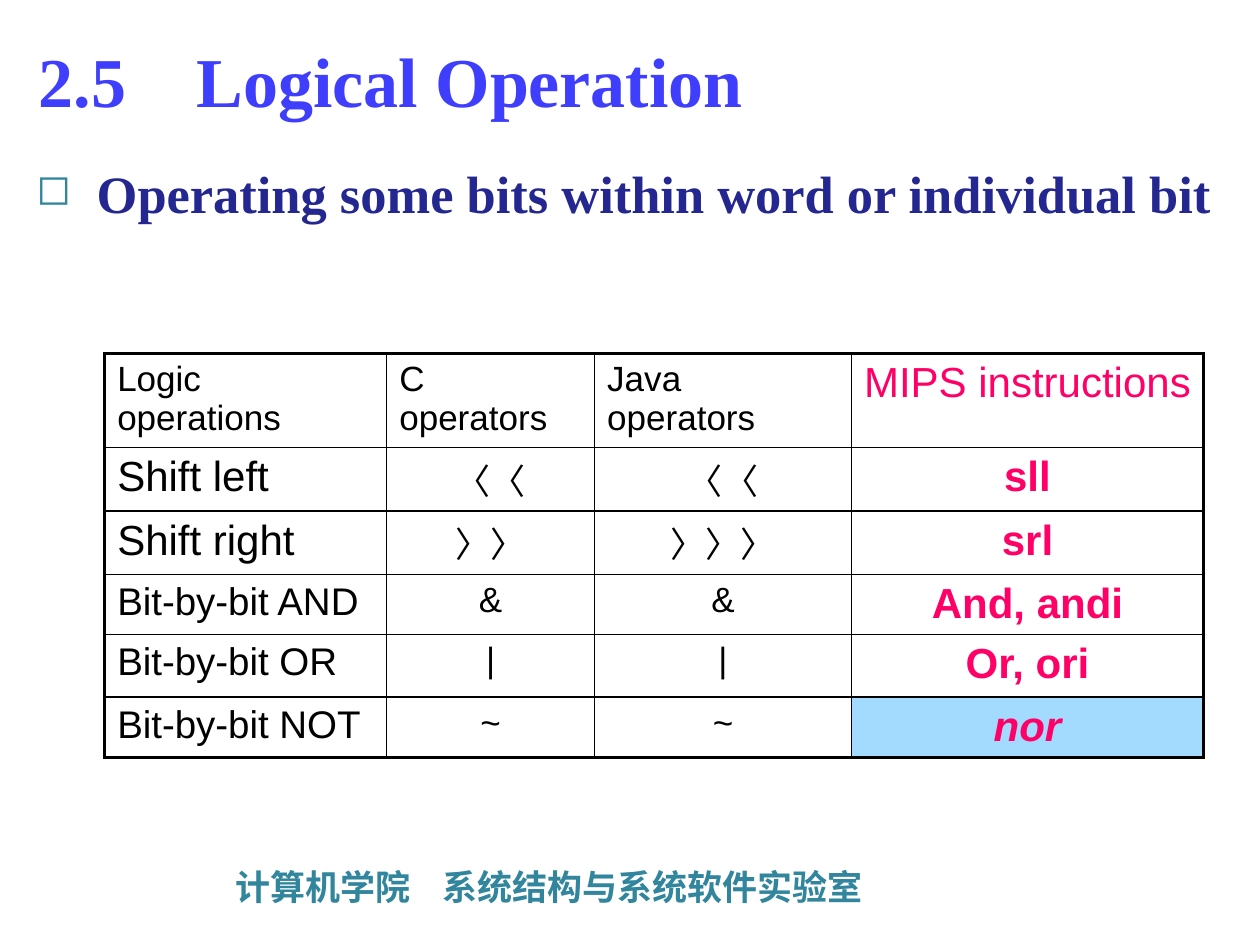
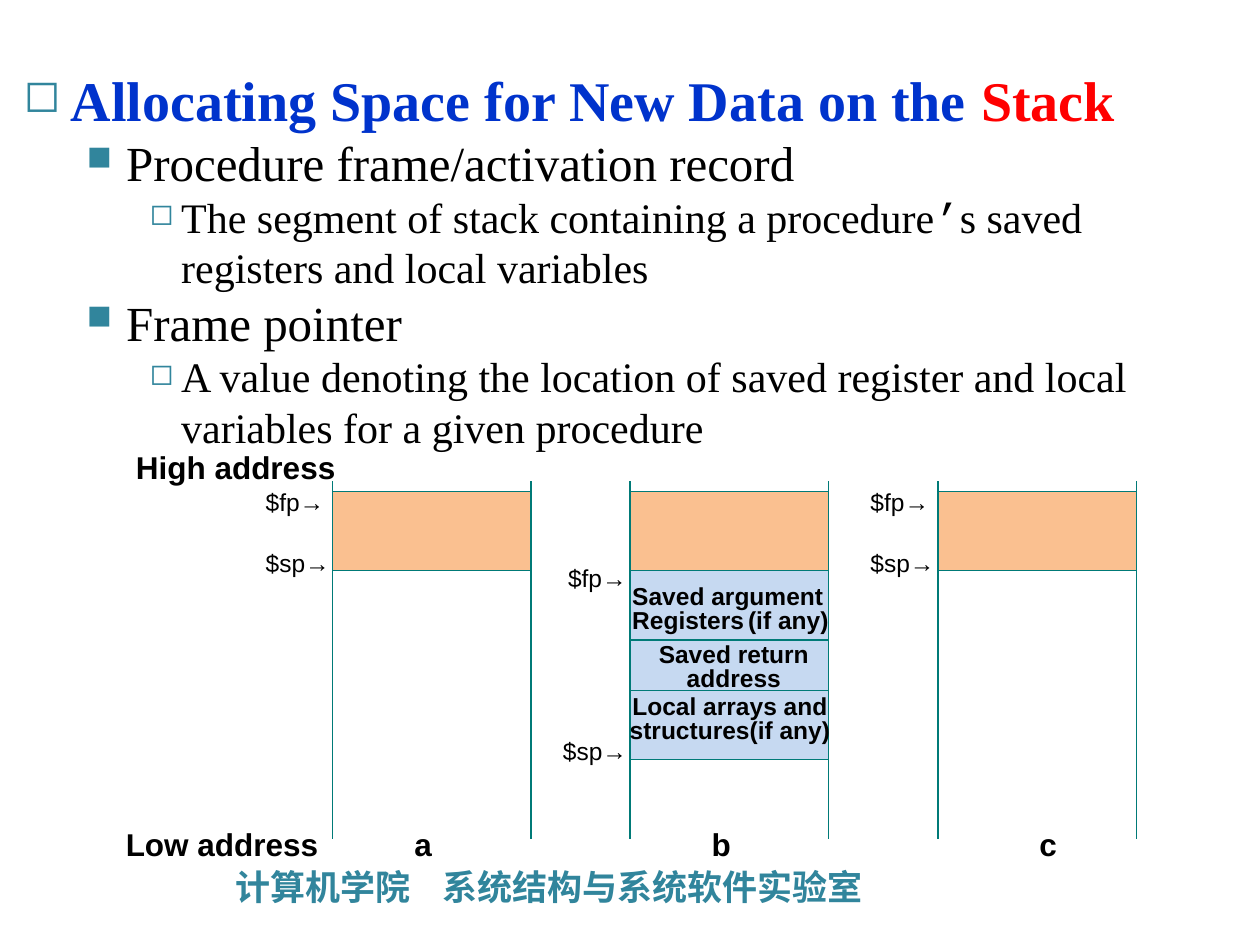
"""Two slides on MIPS: logical operators and stack frames."""
from pptx import Presentation
from pptx.dml.color import RGBColor as Rgb
from pptx.enum.shapes import MSO_CONNECTOR as Link, MSO_SHAPE as Kind
from pptx.enum.text import MSO_ANCHOR as Anchor, PP_ALIGN as Align
from pptx.oxml.ns import qn
from pptx.util import Pt
from lxml.etree import SubElement as Sub

BLACK = Rgb(0x00, 0x00, 0x00)
RED = Rgb(0xFF, 0x00, 0x00)
PINK = Rgb(0xFF, 0x00, 0x66)
TITLE = Rgb(0x3E, 0x3E, 0xFC)
NAVY = Rgb(0x24, 0x27, 0x90)
BLUE = Rgb(0x00, 0x33, 0xCC)
TEAL = Rgb(0x31, 0x85, 0x9C)
EDGE = Rgb(0x00, 0x7A, 0x77)
SKY = Rgb(0xA3, 0xDA, 0xFF)
PALE = Rgb(0xC6, 0xD9, 0xF1)
PEACH = Rgb(0xFA, 0xC0, 0x90)
SERIF, SANS, MONO, HAN = "Times New Roman", "Arial", "Courier New", "Noto Sans CJK SC"

FOOTER = "计算机学院\t系统结构与系统软件实验室"
HEADING = "2.5\tLogical Operation"
INTRO = [(0, [("Operating some bits within word or individual bit", {})])]
OPS = [
    ("Logic operations", "C operators", "Java operators", "MIPS instructions"),
    ("Shift left", "〈〈", "〈〈", "sll"),
    ("Shift right", "〉〉", "〉〉〉", "srl"),
    ("Bit-by-bit AND", "&", "&", "And, andi"),
    ("Bit-by-bit OR", "|", "|", "Or, ori"),
    ("Bit-by-bit NOT", "~", "~", "nor"),
]
COLS = (161.2, 118.8, 146.8, 201.2)
ROWS = (52, 36.3, 36.3, 34, 35.7, 33.7)
FIRST = (20, 24, 24, 22, 22, 22)

OUTLINE = [
    (0, [("Allocating Space for New Data on the ", {}), ("Stack", {"color": RED})]),
    (1, [("Procedure frame/activation record", {})]),
    (2, [("The segment of stack containing a procedure", {}), ("’", {"name": MONO}),
         ("s saved registers and local variables", {})]),
    (1, [("Frame pointer", {})]),
    (2, [("A value denoting the location of saved register and local "
          "variables for a given procedure", {})]),
]
LEVELS = [
    (27, 27, "◻", 80, {"size": 32, "color": BLUE, "bold": True, "name": SERIF}),
    (58.5, 22.5, "■", 70, {"size": 28, "name": SERIF}),
    (90, 18, "◻", 70, {"size": 24, "name": SERIF}),
]
STACKS = [
    (190, "a", 229.7, ((144.7, 275), (144.7, 309.6))),
    (360, "b", 399.6, ((317.5, 318.2), (314.6, 416.9))),
    (536, "c", 586.8, ((490.3, 275), (490.3, 309.6))),
]
WIDE, TOP, TALL = 113.4, 281, 45
RAIL = (275, 479.5)
ENDS = [("High address", 70.6, 252.7), ("Low address", 64.8, 468)]
PARTS = [
    (354.2, 331.9, Align.LEFT, [[("Saved argument", {})],
     [("Registers", {}), (" ", {"size": 8}), ("(if any)", {})]]),
    (354.2, 365, Align.CENTER, [[("Saved return address", {})]]),
    (352, 394.6, Align.CENTER, [[("Local arrays and", {})], [("structures(if any)", {})]]),
]
CUTS = (365.8, 394.6, 434)


def style(run, size=14, color=BLACK, bold=False, name=SANS, italic=False):
    font = run.font
    font.size, font.bold, font.italic, font.name = Pt(size), bold, italic, name
    font.color.rgb = color
    if name == HAN:
        Sub(font._element, qn("a:ea"), typeface=HAN)


def fill_par(par, runs, **base):
    for text, change in runs:
        run = par.add_run()
        run.text = text
        style(run, **{**base, **change})


def add_box(slide, x, y, w, h):
    frame = slide.shapes.add_textbox(Pt(x), Pt(y), Pt(w), Pt(h)).text_frame
    frame.word_wrap = True
    return frame


def next_par(frame, i):
    return frame.add_paragraph() if i else frame.paragraphs[0]


def add_label(slide, text, x, y, w, h, stop=None, **look):
    frame = add_box(slide, x, y, w, h)
    par = frame.paragraphs[0]
    if stop:
        tabs = Sub(par._p.get_or_add_pPr(), qn("a:tabLst"))
        Sub(tabs, qn("a:tab"), pos=str(Pt(stop)), algn="l")
    fill_par(par, [(text, {})], **look)
    return frame


def add_list(slide, items, x, y, w, h, **look):
    frame = add_box(slide, x, y, w, h)
    for i, (level, runs) in enumerate(items):
        left, hang, mark, scale, base = LEVELS[level]
        base = {**base, **look}
        left, hang = (look.get("left", left), look.get("left", hang))
        base.pop("left", None)
        par = next_par(frame, i)
        props = par._p.get_or_add_pPr()
        props.set("marL", str(Pt(left)))
        props.set("indent", str(-Pt(hang)))
        Sub(Sub(props, qn("a:buClr")), qn("a:srgbClr"), val=str(TEAL))
        Sub(props, qn("a:buSzPct"), val=str(scale * 1000))
        Sub(props, qn("a:buChar"), char=mark)
        par.line_spacing = Pt(base["size"] * 1.2)
        fill_par(par, runs, **base)


def add_rect(slide, x, y, w, h, color):
    rect = slide.shapes.add_shape(Kind.RECTANGLE, Pt(x), Pt(y), Pt(w), Pt(h))
    rect.shadow.inherit = False
    rect.fill.solid()
    rect.fill.fore_color.rgb = color
    rect.line.color.rgb, rect.line.width = EDGE, Pt(0.75)


def add_line(slide, *ends):
    line = slide.shapes.add_connector(Link.STRAIGHT, *map(Pt, ends))
    line.line.color.rgb, line.line.width = EDGE, Pt(0.75)
    Sub(line._element.spPr, qn("a:effectLst"))


def add_edges(cell, row, col):
    outer = {"L": col == 0, "R": col == len(COLS) - 1,
             "T": row == 0, "B": row == len(ROWS) - 1}
    for side, thick in outer.items():
        edge = Sub(cell._tc.get_or_add_tcPr(), qn("a:ln" + side),
                   w=str(Pt(2.25 if thick else 1)))
        Sub(Sub(edge, qn("a:solidFill")), qn("a:srgbClr"), val=str(BLACK))


def cell_look(row, col):
    if col == len(COLS) - 1:
        return {"size": 24, "color": PINK, "bold": row > 0, "italic": row == len(ROWS) - 1}
    return {"size": FIRST[row] if col == 0 else 20}


def add_grid(slide, x, y):
    table = slide.shapes.add_table(len(ROWS), len(COLS), Pt(x), Pt(y),
                                   Pt(sum(COLS)), Pt(sum(ROWS))).table
    table.first_row = table.horz_banding = False
    for col, wide in enumerate(COLS):
        table.columns[col].width = Pt(wide)
    for row, tall in enumerate(ROWS):
        table.rows[row].height = Pt(tall)
        for col, text in enumerate(OPS[row]):
            cell = table.cell(row, col)
            cell.margin_top, cell.margin_bottom = Pt(3.6), Pt(2)
            add_edges(cell, row, col)
            cell.fill.background()
            par = cell.text_frame.paragraphs[0]
            par.alignment = Align.CENTER if row and col else Align.LEFT
            fill_par(par, [(text, {})], **cell_look(row, col))
    last = table.cell(len(ROWS) - 1, len(COLS) - 1)
    last.fill.solid()
    last.fill.fore_color.rgb = SKY


def new_slide(deck):
    slide = deck.slides.add_slide(deck.slide_layouts[6])
    add_label(slide, FOOTER, 127.4, 491, 521.3, 31.7, stop=118.3,
              size=20, color=TEAL, bold=True, name=HAN)
    return slide


def draw_logic(deck):
    slide = new_slide(deck)
    head = add_label(slide, HEADING, 15.1, 15.1, 672.5, 60.5, stop=90.3,
                     size=40, color=TITLE, bold=True, name=SERIF)
    head.vertical_anchor = Anchor.MIDDLE
    add_list(slide, INTRO, 13.7, 88.6, 697.7, 425.5, size=30, color=NAVY, left=34.5)
    add_grid(slide, 59.8, 202)


def draw_stack(deck):
    slide = new_slide(deck)
    add_list(slide, OUTLINE, 6.5, 33.8, 672.5, 419.8)
    mid = STACKS[1][0]
    add_rect(slide, mid, TOP + TALL, WIDE, CUTS[-1] - TOP - TALL, PALE)
    for x, name, spot, marks in STACKS:
        add_rect(slide, x, TOP, WIDE, TALL, PEACH)
        for side in (x, x + WIDE):
            add_line(slide, side, RAIL[0], side, RAIL[1])
        for text, (left, top) in zip(("$fp→", "$sp→"), marks):
            add_label(slide, text, left, top, 56.9, 24)
        add_label(slide, name, spot, 468, 73.4, 29, size=18, bold=True)
    for text, x, y in ENDS:
        add_label(slide, text, x, y, 136, 29, size=18, bold=True)
    for y in CUTS:
        add_line(slide, mid, y, mid + WIDE, y)
    for x, y, align, lines in PARTS:
        frame = add_box(slide, x, y, 130.3, 34)
        for i, runs in enumerate(lines):
            par = next_par(frame, i)
            par.alignment, par.line_spacing = align, 0.8
            fill_par(par, runs, bold=True)


def main():
    deck = Presentation()
    deck.slide_width, deck.slide_height = Pt(720), Pt(540)
    draw_logic(deck)
    draw_stack(deck)
    deck.save("out.pptx")


if __name__ == "__main__":
    main()
